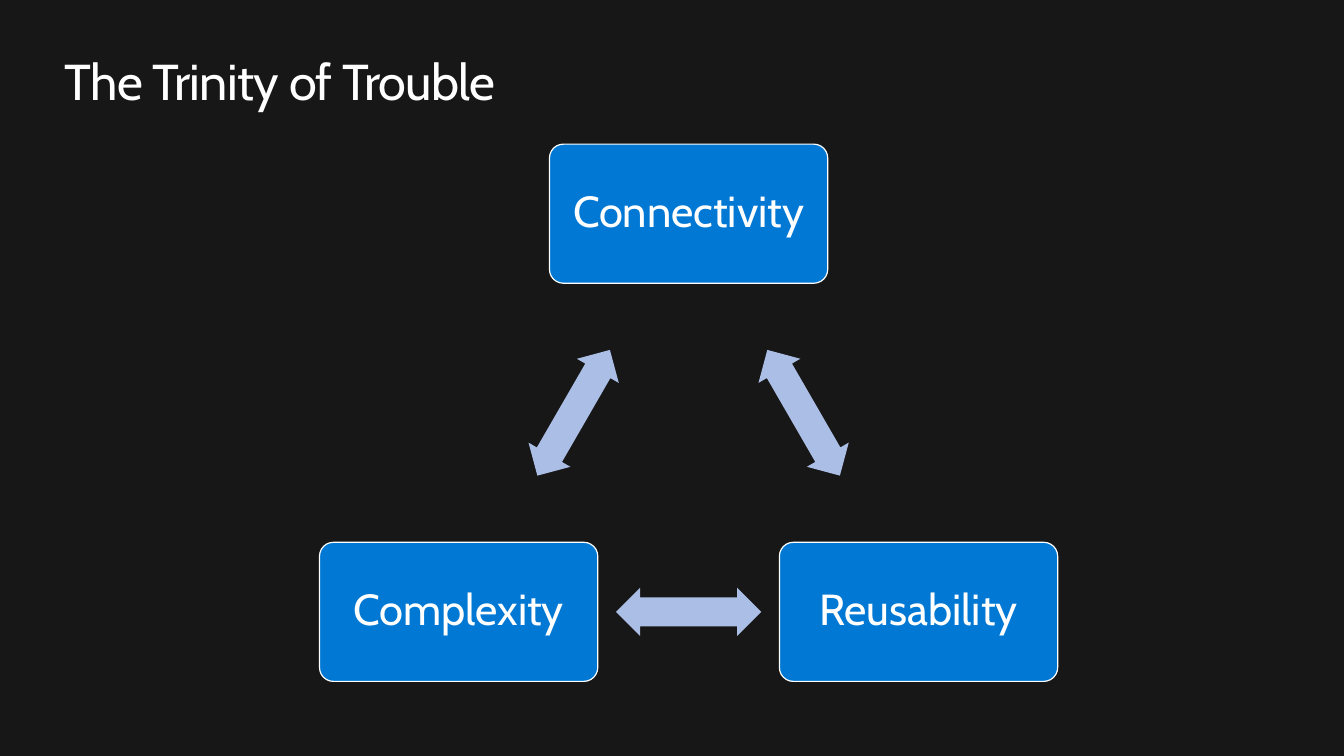
from math import cos, radians, sin

from pptx import Presentation
from pptx.dml.color import RGBColor
from pptx.enum.shapes import MSO_SHAPE
from pptx.enum.text import MSO_ANCHOR, MSO_AUTO_SIZE, PP_ALIGN
from pptx.util import Inches, Pt

BACKGROUND = RGBColor(0x17, 0x17, 0x17)
WHITE = RGBColor(0xFF, 0xFF, 0xFF)
BLUE = RGBColor(0x00, 0x78, 0xD4)
LAVENDER = RGBColor(0xAB, 0xBE, 0xE6)
FONT = "Cabin"
NODE_W, NODE_H = 2.76, 1.38
ARROW_W, ARROW_H = 1.44, 0.48


def set_text(tf, text, size, align, anchor, inset):
    tf.text = text
    tf.word_wrap = True
    tf.vertical_anchor = anchor
    tf.margin_left = tf.margin_right = Inches(inset)
    tf.margin_top = tf.margin_bottom = Inches(inset)
    p = tf.paragraphs[0]
    p.alignment = align
    r = p.runs[0]
    r.font.name = FONT
    r.font.size = Pt(size)
    r.font.color.rgb = WHITE
    return p


def add_title(s, text, left, top, width, height):
    sp = s.shapes.title
    sp.left, sp.top = Inches(left), Inches(top)
    sp.width, sp.height = Inches(width), Inches(height)
    p = set_text(sp.text_frame, text, 36, PP_ALIGN.LEFT, MSO_ANCHOR.TOP, 0)
    sp.text_frame.auto_size = MSO_AUTO_SIZE.SHAPE_TO_FIT_TEXT
    p.runs[0].font._element.set("spc", "-50")


def add_centred(shapes, kind, cx, cy, width, height, fill):
    sp = shapes.add_shape(kind, Inches(cx - width / 2), Inches(cy - height / 2),
                          Inches(width), Inches(height))
    sp.shadow.inherit = False
    sp.fill.solid()
    sp.fill.fore_color.rgb = fill
    return sp


def add_node(shapes, text, cx, cy):
    sp = add_centred(shapes, MSO_SHAPE.ROUNDED_RECTANGLE, cx, cy, NODE_W, NODE_H, BLUE)
    sp.adjustments[0] = 0.1
    sp.line.color.rgb = WHITE
    sp.line.width = Pt(0.85)
    p = set_text(sp.text_frame, text, 31, PP_ALIGN.CENTER, MSO_ANCHOR.MIDDLE, 0.13)
    p.line_spacing = 0.9


def add_arrow(shapes, cx, cy, rotation):
    sp = add_centred(shapes, MSO_SHAPE.LEFT_RIGHT_ARROW, cx, cy, ARROW_W, ARROW_H, LAVENDER)
    sp.adjustments[0] = 0.6
    sp.adjustments[1] = 0.5
    sp.line.fill.background()
    sp.rotation = rotation


def add_cycle(s, labels, left, top, width, height):
    shapes = s.shapes.add_group_shape().shapes
    step = 360 / len(labels)
    radius = (height - NODE_H) / (1 + cos(radians(step / 2)))
    cx, cy = left + width / 2, top + NODE_H / 2 + radius

    def point(angle, distance):
        return cx + distance * sin(radians(angle)), cy - distance * cos(radians(angle))

    for i, label in enumerate(labels):
        angle = i * step
        middle = angle + step / 2
        add_node(shapes, label, *point(angle, radius))
        add_arrow(shapes, *point(middle, radius * cos(radians(step / 2))), middle)


def main():
    prs = Presentation()
    prs.slide_width, prs.slide_height = Inches(13.33), Inches(7.5)
    s = prs.slides.add_slide(prs.slide_layouts[5])
    s.background.fill.solid()
    s.background.fill.fore_color.rgb = BACKGROUND
    add_title(s, "The Trinity of Trouble", 0.64, 0.5, 12.05, 0.61)
    add_cycle(s, ["Connectivity", "Reusability", "Complexity"], 3.17, 1.43, 7.32, 5.33)
    prs.save("out.pptx")


if __name__ == "__main__":
    main()
